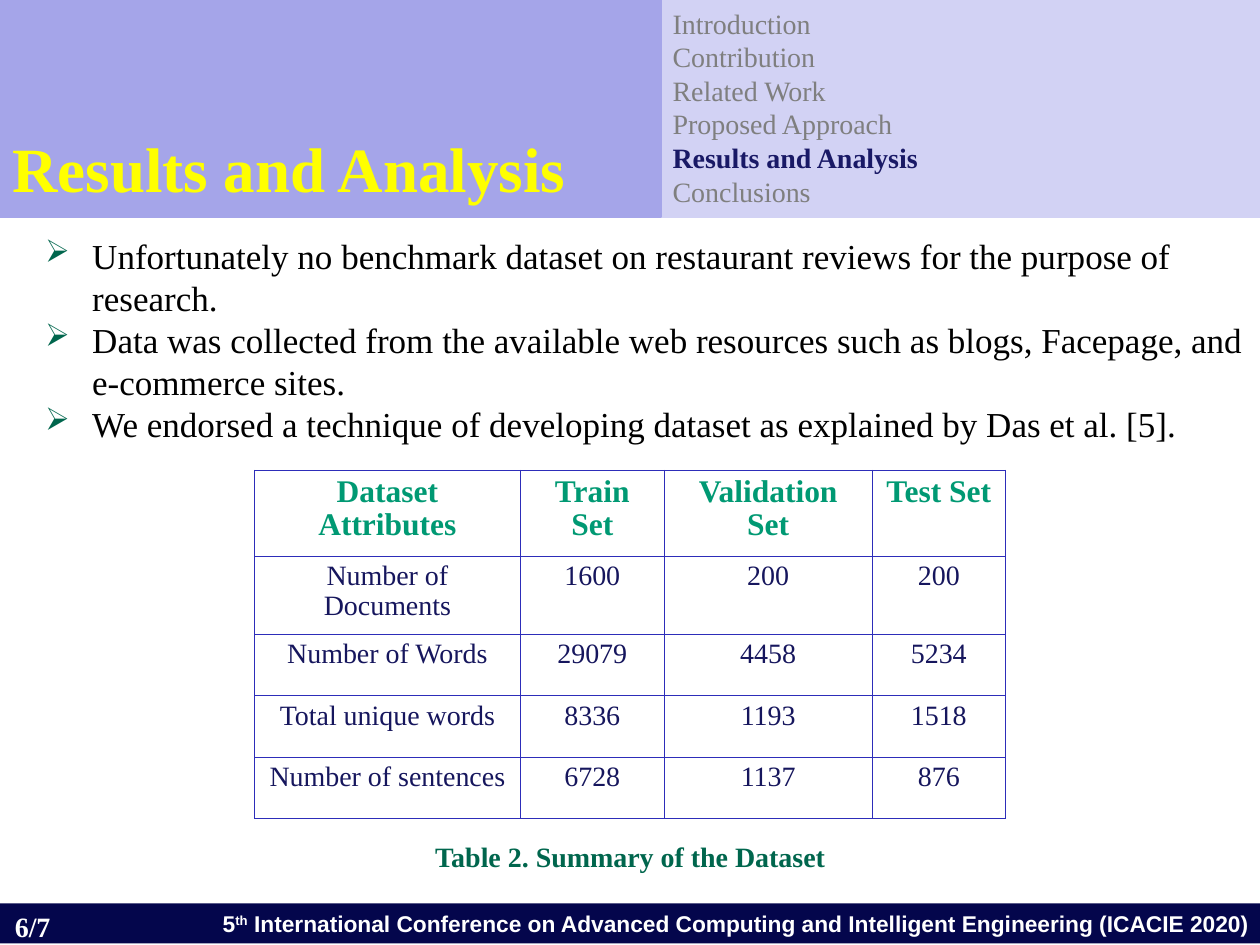
from dataclasses import dataclass
from typing import Optional

from lxml.etree import SubElement
from pptx import Presentation
from pptx.dml.color import RGBColor as Rgb
from pptx.enum.shapes import MSO_SHAPE as Shape
from pptx.enum.text import MSO_AUTO_SIZE as AutoSize, MSO_ANCHOR as Anchor, PP_ALIGN as Align
from pptx.oxml.ns import qn
from pptx.util import Cm, Pt


@dataclass(frozen=True)
class Theme:
    serif: str = "Times New Roman"
    sans: str = "Arial"
    title_size: int = 36
    body_size: int = 20
    header_size: int = 18
    small_size: int = 16
    footer_size: int = 13
    white: str = "FFFFFF"
    black: str = "000000"
    navy: str = "04064C"
    title_panel: str = "A5A5E9"
    outline_panel: str = "D2D2F4"
    title: str = "FFFF00"
    muted: str = "7F7F7F"
    current: str = "191966"
    green: str = "00664D"
    header: str = "009973"
    cell: str = "16165D"
    border: str = "2D2DB9"
    border_width: float = 0.45


THEME = Theme()


@dataclass(frozen=True)
class Area:
    left: float
    top: float
    width: float
    height: float

    def lengths(self) -> tuple:
        return Cm(self.left), Cm(self.top), Cm(self.width), Cm(self.height)


@dataclass(frozen=True)
class Style:
    size: int
    color: str
    bold: bool = False
    font: str = THEME.serif
    align: Align = Align.LEFT


@dataclass(frozen=True)
class Panel:
    area: Area
    fill: str
    line: Optional[str] = None


@dataclass(frozen=True)
class Label:
    area: Area
    lines: tuple
    style: Style
    wrap: bool = True
    current: Optional[str] = None
    bullet: Optional[str] = None


FOOTER = Panel(Area(0, 18.21, 25.4, 0.81), THEME.navy)
PANELS = (
    Panel(Area(13.34, 0, 12.06, 4.37), THEME.outline_panel, THEME.outline_panel),
    Panel(Area(0, 0, 13.31, 4.37), THEME.title_panel, THEME.title_panel),
)
FOOTER_PARTS = (
    "5",
    "th",
    " International Conference on Advanced Computing and Intelligent Engineering (ICACIE 2020)",
)
TITLE = "Results and Analysis"
LABELS = (
    Label(
        Area(13.31, 0, 9.32, 4.32),
        ("Introduction", "Contribution", "Related Work", "Proposed Approach", TITLE, "Conclusions"),
        Style(THEME.small_size, THEME.muted),
        current=TITLE,
    ),
    Label(Area(0, 2.49, 13.31, 1.78), (TITLE,), Style(THEME.title_size, THEME.title, True)),
    Label(
        Area(0.05, 18.21, 1.22, 0.94), ("6/7",),
        Style(THEME.small_size, THEME.white, True), wrap=False,
    ),
    Label(
        Area(0.66, 4.6, 24.87, 5.33),
        (
            "Unfortunately no benchmark dataset on restaurant reviews for the purpose of research.",
            "Data was collected from the available web resources such as blogs, Facepage, and "
            "e-commerce sites.",
            "We endorsed a technique of developing dataset as explained by Das et al. [5].",
        ),
        Style(THEME.body_size, THEME.black),
        bullet="➢",
    ),
    Label(
        Area(6.1, 16.79, 13.21, 0.81), ("Table 2. Summary of the Dataset",),
        Style(THEME.small_size, THEME.green, True, align=Align.CENTER),
    ),
)
TABLE_AREA = Area(5.13, 9.48, 15.14, 7.02)
COLUMN_WIDTHS = (5.36, 2.9, 4.19, 2.69)
ROW_HEIGHTS = (1.73, 1.57, 1.24, 1.24, 1.24)
ROWS = (
    ("Dataset Attributes", "Train Set", "Validation Set", "Test Set"),
    ("Number of Documents", "1600", "200", "200"),
    ("Number of Words", "29079", "4458", "5234"),
    ("Total unique words", "8336", "1193", "1518"),
    ("Number of sentences", "6728", "1137", "876"),
)


def format_paragraph(para, style: Style) -> None:
    para.alignment = style.align
    for span in para.runs:
        span.font.name = style.font
        span.font.size = Pt(style.size)
        span.font.bold = style.bold
        span.font.color.rgb = Rgb.from_string(style.color)


def add_bullet(para, symbol: str) -> None:
    props = para._p.get_or_add_pPr()
    indent = Cm(0.95)
    props.set("marL", str(indent))
    props.set("indent", str(-indent))
    color = SubElement(props, qn("a:buClr"))
    SubElement(color, qn("a:srgbClr"), val=THEME.green)
    SubElement(props, qn("a:buSzPct"), val="90000")
    SubElement(props, qn("a:buChar"), char=symbol)


def add_panel(page, panel: Panel):
    box = page.shapes.add_shape(Shape.RECTANGLE, *panel.area.lengths())
    box.shadow.inherit = False
    box.fill.solid()
    box.fill.fore_color.rgb = Rgb.from_string(panel.fill)
    if panel.line:
        box.line.color.rgb = Rgb.from_string(panel.line)
        box.line.width = Pt(2)
    else:
        box.line.fill.background()
    return box


def add_footer(page) -> None:
    frame = add_panel(page, FOOTER).text_frame
    frame.word_wrap = True
    frame.vertical_anchor = Anchor.TOP
    para = frame.paragraphs[0]
    for part in FOOTER_PARTS:
        para.add_run().text = part
    format_paragraph(para, Style(THEME.footer_size, THEME.white, True, THEME.sans, Align.RIGHT))
    para.runs[1].font._element.set("baseline", "30000")


def add_label(page, label: Label) -> None:
    frame = page.shapes.add_textbox(*label.area.lengths()).text_frame
    frame.word_wrap = label.wrap
    frame.auto_size = AutoSize.SHAPE_TO_FIT_TEXT
    frame.text = "\n".join(label.lines)
    for para in frame.paragraphs:
        is_current = para.text == label.current
        style = Style(label.style.size, THEME.current, True) if is_current else label.style
        format_paragraph(para, style)
        if label.bullet:
            add_bullet(para, label.bullet)


def add_borders(cell) -> None:
    props = cell._tc.get_or_add_tcPr()
    for side in ("lnL", "lnR", "lnT", "lnB"):
        line = SubElement(props, qn(f"a:{side}"), w=str(Pt(THEME.border_width)))
        fill = SubElement(line, qn("a:solidFill"))
        SubElement(fill, qn("a:srgbClr"), val=THEME.border)


def add_dataset_table(page) -> None:
    shape = page.shapes.add_table(len(ROWS), len(COLUMN_WIDTHS), *TABLE_AREA.lengths())
    table = shape.table
    table.first_row = table.horz_banding = False
    for column, width in zip(table.columns, COLUMN_WIDTHS):
        column.width = Cm(width)
    header = Style(THEME.header_size, THEME.header, True, align=Align.CENTER)
    body = Style(THEME.small_size, THEME.cell, align=Align.CENTER)
    for index, (row, height, texts) in enumerate(zip(table.rows, ROW_HEIGHTS, ROWS)):
        row.height = Cm(height)
        for cell, text in zip(row.cells, texts):
            cell.text_frame.text = text
            para = cell.text_frame.paragraphs[0]
            para.line_spacing = 0.94
            format_paragraph(para, body if index else header)
            add_borders(cell)
            cell.fill.background()


def main() -> None:
    deck = Presentation()
    deck.slide_width, deck.slide_height = Cm(25.4), Cm(19.05)
    page = deck.slides.add_slide(deck.slide_layouts[6])
    add_footer(page)
    for panel in PANELS:
        add_panel(page, panel)
    for label in LABELS:
        add_label(page, label)
    add_dataset_table(page)
    deck.save("out.pptx")


if __name__ == "__main__":
    main()
